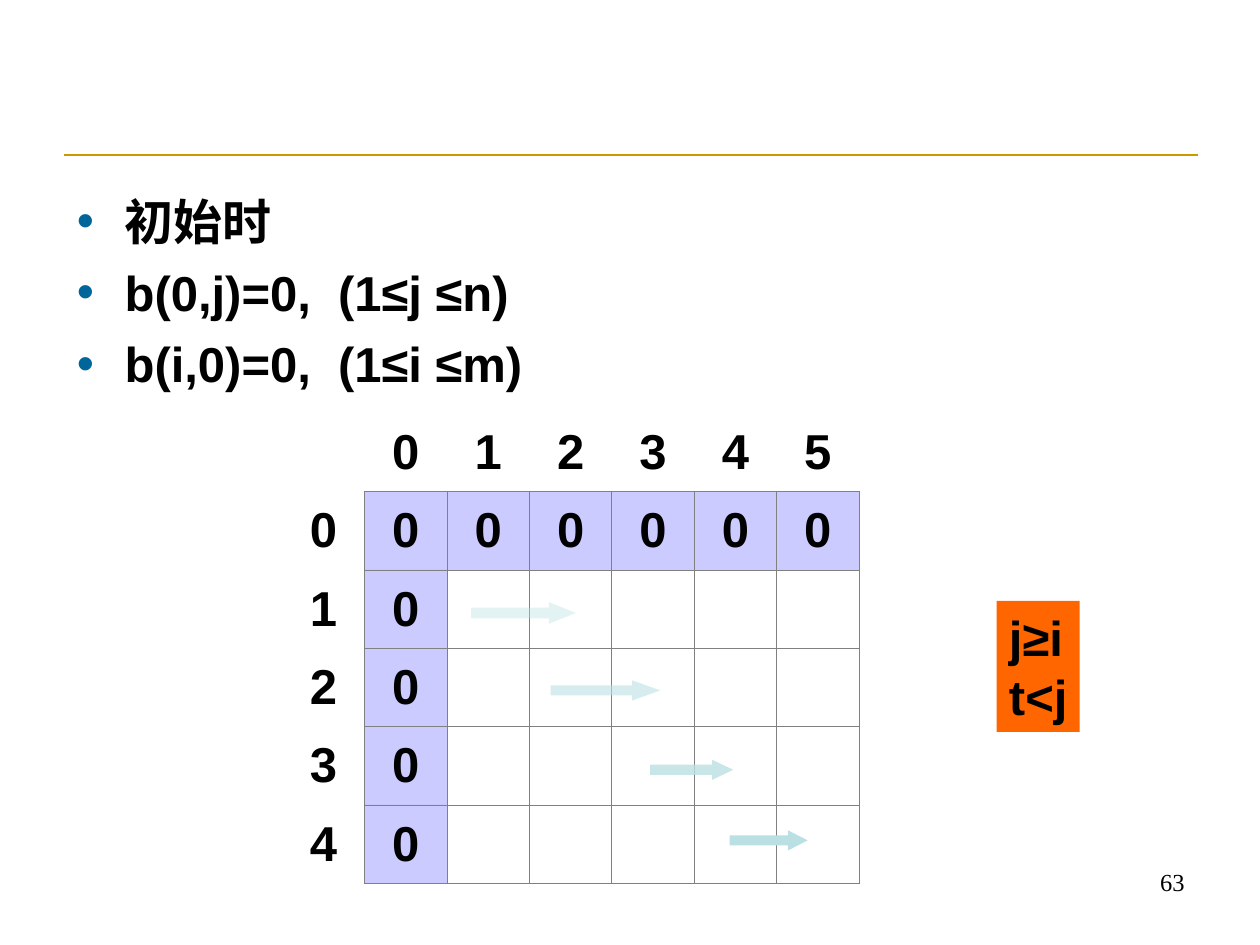
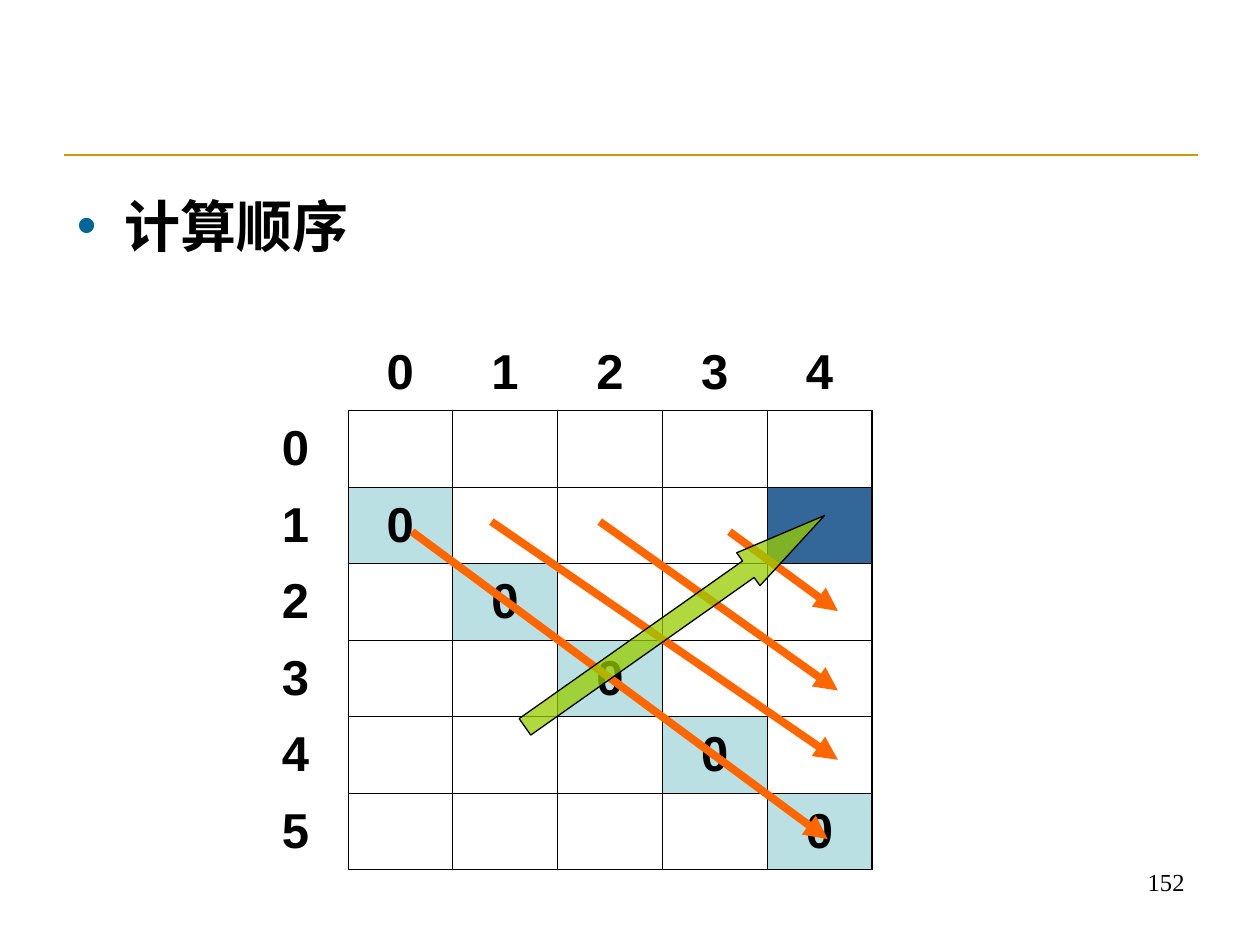
from dataclasses import dataclass
from typing import NamedTuple

from lxml.etree import SubElement
from pptx import Presentation
from pptx.dml.color import RGBColor
from pptx.enum.shapes import MSO_CONNECTOR, MSO_SHAPE
from pptx.enum.text import MSO_ANCHOR, MSO_AUTO_SIZE, PP_ALIGN
from pptx.oxml.ns import qn
from pptx.util import Inches, Pt


@dataclass(frozen=True)
class Theme:
    ink: str = "000000"
    gold: str = "CC9900"
    bullet: str = "006699"
    grey: str = "808080"
    lavender: str = "9999FF"
    aqua: str = "BBE0E3"
    navy: str = "336699"
    orange: str = "FF6600"
    arrow: str = "FE6700"
    green: str = "99CC00"
    heading_size: int = 32
    text_size: int = 28
    number_size: int = 14
    thin: float = 0.45
    thick: float = 1.08


THEME = Theme()
BOLD_TEXT = {"name": "Arial", "size": Pt(THEME.text_size), "bold": True}
HEADING_TEXT = {**BOLD_TEXT, "size": Pt(THEME.heading_size)}
NUMBER_TEXT = {"name": "Times New Roman", "size": Pt(THEME.number_size)}


class Fill(NamedTuple):
    color: str
    opacity: int = 100


class BlockArrow(NamedTuple):
    left: float
    top: float
    width: float
    height: float
    head: float
    fill: Fill
    rotation: float = 0
    outline: str = ""


class Stroke(NamedTuple):
    start: tuple[float, float]
    end: tuple[float, float]


@dataclass(frozen=True)
class Grid:
    """A matrix whose first row and first column hold its indices."""
    left: float
    top: float
    width: float
    height: float
    columns: int
    rows: int
    border: str
    zeros: set[tuple[int, int]]
    zero_fill: Fill
    goal: tuple[int, int] | None = None
    outer_width: float = THEME.thin


# Formatting helpers
def rgb(color: str) -> RGBColor:
    return RGBColor.from_string(color)


def paint(fill_format, fill: Fill, parent) -> None:
    fill_format.solid()
    fill_format.fore_color.rgb = rgb(fill.color)
    if fill.opacity < 100:
        color = parent.find(qn("a:solidFill")).find(qn("a:srgbClr"))
        SubElement(color, qn("a:alpha"), val=str(fill.opacity * 1000))


def write(paragraph, text: str, formats: dict) -> None:
    run = paragraph.add_run()
    run.text = text
    for name, value in formats.items():
        setattr(run.font, name, value)
    run.font.color.rgb = rgb(THEME.ink)


def write_lines(text_frame, lines: list[str], formats: dict) -> list:
    paragraphs = [text_frame.paragraphs[0]]
    paragraphs += [text_frame.add_paragraph() for _ in lines[1:]]
    for paragraph, line in zip(paragraphs, lines):
        write(paragraph, line, formats)
    return paragraphs


# Shared parts of a slide
def draw_line(slide, stroke: Stroke, color: str, width: float,
              arrowhead: bool = False) -> None:
    ends = [Inches(value) for value in (*stroke.start, *stroke.end)]
    connector = slide.shapes.add_connector(MSO_CONNECTOR.STRAIGHT, *ends)
    connector.line.color.rgb = rgb(color)
    connector.line.width = Pt(width)
    if arrowhead:
        SubElement(connector.line._ln, qn("a:tailEnd"), type="triangle")
    SubElement(connector._element.spPr, qn("a:effectLst"))


def add_bullets(slide, lines: list[str], height: float, formats: dict) -> None:
    body = slide.placeholders[1]
    body.left, body.top = Inches(0.51), Inches(1.47)
    body.width, body.height = Inches(9), Inches(height)
    body.text_frame.auto_size = MSO_AUTO_SIZE.NONE
    paragraphs = write_lines(body.text_frame, lines, formats)
    for index, paragraph in enumerate(paragraphs):
        paragraph.space_before = Pt(7 if index else 0)
        properties = paragraph._p.get_or_add_pPr()
        properties.set("marL", str(Inches(0.38)))
        properties.set("indent", str(-Inches(0.38)))
        bullet_color = SubElement(properties, qn("a:buClr"))
        SubElement(bullet_color, qn("a:srgbClr"), val=THEME.bullet)
        SubElement(properties, qn("a:buFont"), typeface="Arial")
        SubElement(properties, qn("a:buChar"), char="•")


def add_page_number(slide, number: str) -> None:
    box = slide.shapes.add_textbox(Inches(7.17), Inches(6.83),
                                   Inches(2.33), Inches(0.52))
    box.text_frame.word_wrap = True
    paragraph = box.text_frame.paragraphs[0]
    paragraph.alignment = PP_ALIGN.RIGHT
    write(paragraph, number, NUMBER_TEXT)


def start_slide(presentation, lines: list[str], height: float, formats: dict):
    slide = presentation.slides.add_slide(presentation.slide_layouts[1])
    title = slide.shapes.title._element
    title.getparent().remove(title)
    draw_line(slide, Stroke((0.51, 1.23), (9.51, 1.23)), THEME.gold, 1.5)
    add_bullets(slide, lines, height, formats)
    return slide


# Matrices
def set_borders(cell, color: str, widths: dict[str, float]) -> None:
    properties = cell._tc.get_or_add_tcPr()
    for side in "LRTB":
        width = widths.get(side, 0)
        line = SubElement(properties, qn(f"a:ln{side}"), w=str(Pt(width)))
        if width:
            solid = SubElement(line, qn("a:solidFill"))
            SubElement(solid, qn("a:srgbClr"), val=color)
        else:
            SubElement(line, qn("a:noFill"))


def border_widths(grid: Grid, row: int, column: int) -> dict[str, float]:
    if row == 0 or column == 0:
        return {side: THEME.thin for side, touches in
                (("B", column > 0), ("R", row > 0)) if touches}
    widths = dict.fromkeys("LRTB", THEME.thin)
    if column == grid.columns - 1:
        widths["R"] = grid.outer_width
    if row == grid.rows - 1:
        widths["B"] = grid.outer_width
    return widths


def cell_text(grid: Grid, row: int, column: int) -> str:
    if row == 0 and column == 0:
        return ""
    if row == 0 or column == 0:
        return str(row + column - 1)
    return "0" if (row, column) in grid.zeros else ""


def add_grid(slide, grid: Grid) -> None:
    frame = slide.shapes.add_table(
        grid.rows, grid.columns, Inches(grid.left), Inches(grid.top),
        Inches(grid.width), Inches(grid.height))
    table = frame.table
    table.first_row = table.horz_banding = False
    for row in range(grid.rows):
        for column in range(grid.columns):
            cell = table.cell(row, column)
            cell.vertical_anchor = MSO_ANCHOR.MIDDLE
            set_borders(cell, grid.border, border_widths(grid, row, column))
            if (row, column) in grid.zeros:
                paint(cell.fill, grid.zero_fill, cell._tc.tcPr)
            elif (row, column) == grid.goal:
                paint(cell.fill, Fill(THEME.navy), cell._tc.tcPr)
            else:
                cell.fill.background()
            text = cell_text(grid, row, column)
            if text:
                paragraph = cell.text_frame.paragraphs[0]
                paragraph.alignment = PP_ALIGN.CENTER
                write(paragraph, text, BOLD_TEXT)


# Shapes over the matrices
def add_filled_shape(slide, kind, left: float, top: float, width: float,
                     height: float, fill: Fill):
    shape = slide.shapes.add_shape(kind, Inches(left), Inches(top),
                                   Inches(width), Inches(height))
    shape.shadow.inherit = False
    paint(shape.fill, fill, shape._element.spPr)
    shape.line.fill.background()
    return shape


def add_block_arrow(slide, arrow: BlockArrow) -> None:
    shape = add_filled_shape(slide, MSO_SHAPE.RIGHT_ARROW, arrow.left,
                             arrow.top, arrow.width, arrow.height, arrow.fill)
    shape.adjustments[1] = arrow.head
    shape.rotation = arrow.rotation
    if arrow.outline:
        shape.line.color.rgb = rgb(arrow.outline)
        shape.line.width = Pt(0.75)


def add_condition_box(slide, lines: list[str]) -> None:
    box = add_filled_shape(slide, MSO_SHAPE.RECTANGLE, 7.91, 4.77, 0.66, 1.04,
                           Fill(THEME.orange))
    # A narrow right margin leaves each condition room on one line
    formats = {"word_wrap": False, "auto_size": MSO_AUTO_SIZE.NONE,
               "vertical_anchor": MSO_ANCHOR.TOP, "margin_right": Inches(0.02)}
    for name, value in formats.items():
        setattr(box.text_frame, name, value)
    for paragraph in write_lines(box.text_frame, lines, BOLD_TEXT):
        paragraph.alignment = PP_ALIGN.LEFT


# Slides
def add_initial_values(presentation) -> None:
    slide = start_slide(
        presentation,
        ["初始时", "b(0,j)=0,  (1≤j ≤n)", "b(i,0)=0,  (1≤i ≤m)"],
        1.73, BOLD_TEXT)
    edge = {(1, column) for column in range(1, 7)}
    edge |= {(row, 1) for row in range(1, 6)}
    add_grid(slide, Grid(2.24, 3.28, 4.58, 3.73, 7, 6, THEME.grey, edge,
                         Fill(THEME.lavender, 50)))
    for arrow in (
        BlockArrow(5.16, 6.03, 0.66, 0.16, 1.05, Fill(THEME.aqua, 80)),
        BlockArrow(4.37, 5.4, 0.87, 0.16, 1.39, Fill(THEME.aqua, 60)),
        BlockArrow(3.74, 4.78, 0.83, 0.17, 1.25, Fill(THEME.aqua, 40)),
        BlockArrow(5.79, 6.59, 0.62, 0.16, 0.98, Fill(THEME.aqua)),
    ):
        add_block_arrow(slide, arrow)
    add_condition_box(slide, ["j≥i", "t<j"])
    add_page_number(slide, "63")


def add_computing_order(presentation) -> None:
    slide = start_slide(presentation, ["计算顺序"], 0.79, HEADING_TEXT)
    diagonal = {(step + 1, step) for step in range(1, 6)}
    add_grid(slide, Grid(1.93, 2.65, 4.99, 4.25, 6, 7, THEME.ink, diagonal,
                         Fill(THEME.aqua), (2, 5), THEME.thick))
    for stroke in (
        Stroke((4.76, 4.14), (6.65, 5.48)),
        Stroke((5.79, 4.22), (6.65, 4.85)),
        Stroke((3.27, 4.22), (6.57, 6.66)),
        Stroke((3.9, 4.14), (6.65, 6.03)),
    ):
        draw_line(slide, stroke, THEME.arrow, 4.5, arrowhead=True)
    add_block_arrow(slide, BlockArrow(3.9, 4.77, 2.91, 0.32, 2.31,
                                      Fill(THEME.green, 75), 324.8, THEME.ink))
    add_page_number(slide, "152")


def main() -> None:
    presentation = Presentation()
    presentation.slide_width = Inches(10)
    presentation.slide_height = Inches(7.5)
    add_initial_values(presentation)
    add_computing_order(presentation)
    presentation.save("out.pptx")


if __name__ == "__main__":
    main()
